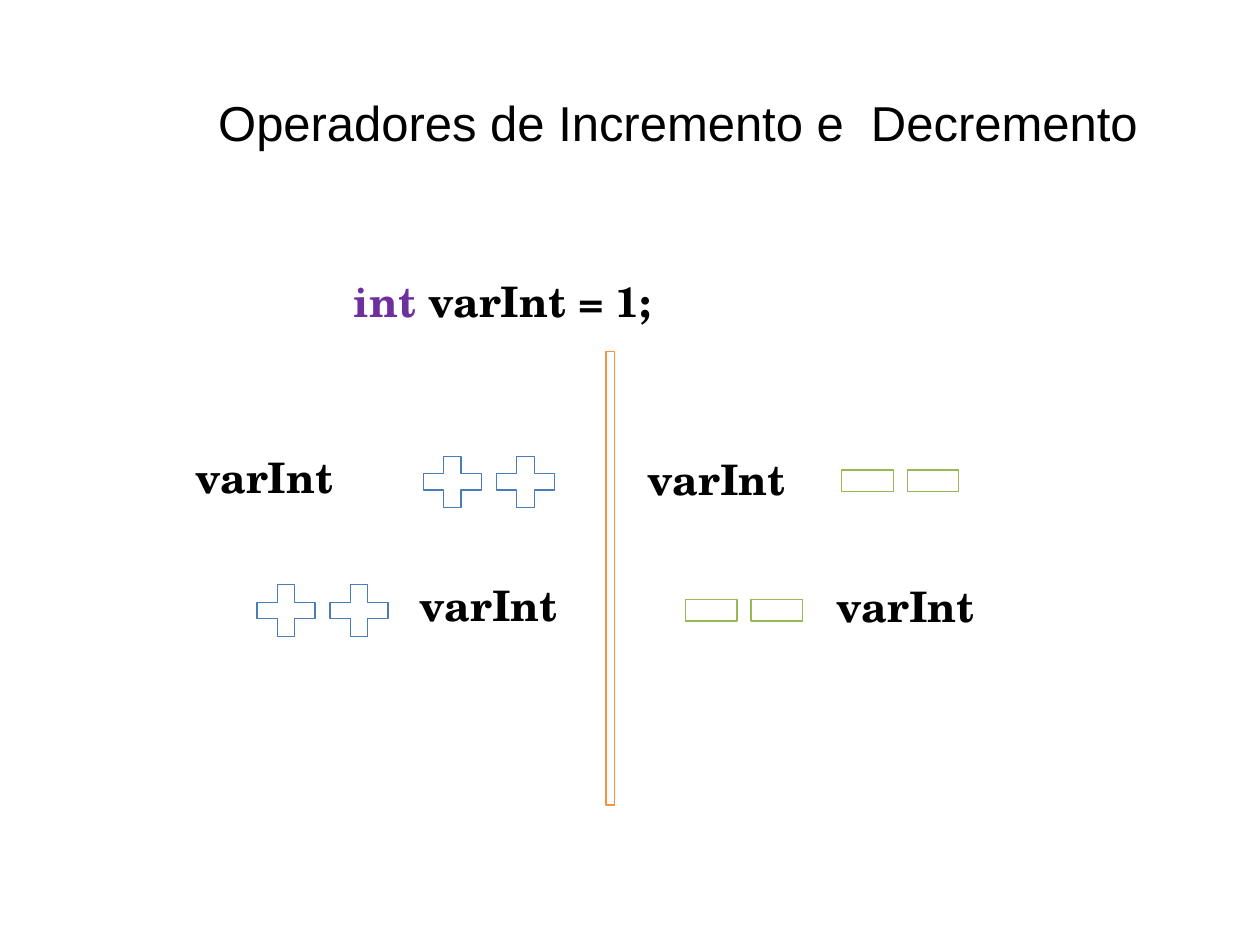
import pptx
import pptx.util
import pptx.dml.color
import pptx.enum.shapes
import pptx.enum.text

Inches = pptx.util.Inches
Pt = pptx.util.Pt


def color(value):
    return pptx.dml.color.RGBColor.from_string(value)


def outline(shape, line_color):
    shape.shadow.inherit = False
    shape.fill.background()
    shape.line.color.rgb = color(line_color)
    shape.line.width = Pt(0.72)


deck = pptx.Presentation()
deck.slide_width = Inches(10)
deck.slide_height = Inches(7.5)
slide = deck.slides.add_slide(deck.slide_layouts[5])
shapes = slide.shapes
RECTANGLE = pptx.enum.shapes.MSO_SHAPE.RECTANGLE

heading = shapes.title
heading_place = {"left": 0.5, "top": 0.65, "width": 9, "height": 0.55}
for side, length in heading_place.items():
    setattr(heading, side, Inches(length))
heading_format = {
    "margin_left": Inches(0.76),
    "margin_top": Inches(0.08),
    "margin_right": 0,
    "margin_bottom": 0,
    "word_wrap": True,
    "auto_size": pptx.enum.text.MSO_AUTO_SIZE.SHAPE_TO_FIT_TEXT,
    "vertical_anchor": pptx.enum.text.MSO_ANCHOR.MIDDLE,
}
for name, value in heading_format.items():
    setattr(heading.text_frame, name, value)
heading_line = heading.text_frame.paragraphs[0]
heading_line.alignment = pptx.enum.text.PP_ALIGN.CENTER
heading_run = heading_line.add_run()
heading_run.text = "Operadores de Incremento e  Decremento"
for name, value in {"name": "Arial", "size": Pt(28), "bold": False}.items():
    setattr(heading_run.font, name, value)
heading_run.font.color.rgb = color("000000")

divider = shapes.add_shape(
    RECTANGLE, Inches(4.81), Inches(2.79), Inches(0.07), Inches(3.6)
)
outline(divider, "F69240")

plus_corners = [
    (0, 0.14), (0.16, 0.14), (0.16, 0), (0.3, 0), (0.3, 0.14), (0.46, 0.14),
    (0.46, 0.27), (0.3, 0.27), (0.3, 0.41), (0.16, 0.41), (0.16, 0.27), (0, 0.27),
]
for first_left, top in [(3.36, 3.62), (2.04, 4.64)]:
    for left in (first_left, first_left + 0.58):
        corners = [(Inches(left + x), Inches(top + y)) for x, y in plus_corners]
        builder = shapes.build_freeform(*corners[0])
        builder.add_line_segments(corners[1:], close=True)
        outline(builder.convert_to_shape(), "497DBA")

for first_left, top in [(6.68, 3.73), (5.44, 4.76)]:
    for left in (first_left, first_left + 0.52):
        minus = shapes.add_shape(
            RECTANGLE, Inches(left), Inches(top), Inches(0.41), Inches(0.17)
        )
        outline(minus, "97B853")

variable = [("varInt", "000000")]
declaration = [("int ", "6F2F9F"), ("varInt = 1;", "000000")]
code_format = {
    "margin_left": Inches(0.01),
    "margin_top": Inches(0.02),
    "margin_right": 0,
    "margin_bottom": 0,
    "word_wrap": True,
}
font_format = {"name": "TeX Gyre Schola", "size": Pt(24), "bold": True}
for left, top, width, pieces in [
    (2.8, 2.17, 3.63, declaration),
    (1.54, 3.56, 1.61, variable),
    (3.32, 4.58, 1.43, variable),
    (5.13, 3.58, 1.3, variable),
    (6.63, 4.59, 1.73, variable),
]:
    code = shapes.add_textbox(Inches(left), Inches(top), Inches(width), Inches(0.42))
    for name, value in code_format.items():
        setattr(code.text_frame, name, value)
    for words, ink in pieces:
        run = code.text_frame.paragraphs[0].add_run()
        run.text = words
        for name, value in font_format.items():
            setattr(run.font, name, value)
        run.font.color.rgb = color(ink)

deck.save("out.pptx")
